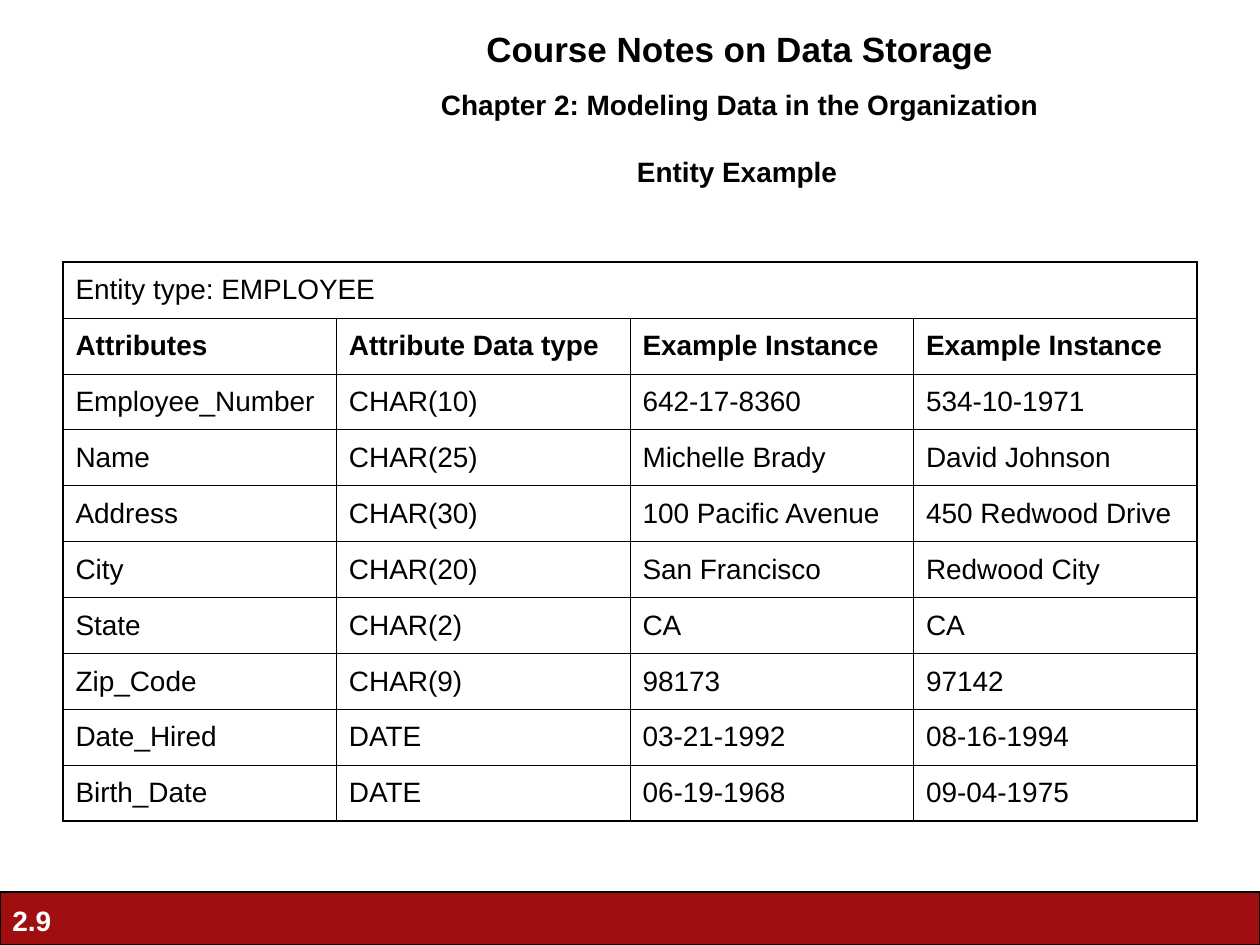
from lxml.etree import SubElement
from pptx import Presentation
from pptx.dml.color import RGBColor
from pptx.enum.shapes import MSO_SHAPE
from pptx.enum.text import MSO_ANCHOR, MSO_AUTO_SIZE, PP_ALIGN
from pptx.oxml.ns import qn
from pptx.util import Inches, Pt

BLACK, WHITE, RED = "000000", "FFFFFF", "9F0F10"
COLUMN_WIDTHS = [2.17, 2.33, 2.25, 2.25]
ROWS = [
    ["Entity type: EMPLOYEE"],
    ["Attributes", "Attribute Data type", "Example Instance", "Example Instance"],
    ["Employee_Number", "CHAR(10)", "642-17-8360", "534-10-1971"],
    ["Name", "CHAR(25)", "Michelle Brady", "David Johnson"],
    ["Address", "CHAR(30)", "100 Pacific Avenue", "450 Redwood Drive"],
    ["City", "CHAR(20)", "San Francisco", "Redwood City"],
    ["State", "CHAR(2)", "CA", "CA"],
    ["Zip_Code", "CHAR(9)", "98173", "97142"],
    ["Date_Hired", "DATE", "03-21-1992", "08-16-1994"],
    ["Birth_Date", "DATE", "06-19-1968", "09-04-1975"],
]


def color(value):
    return RGBColor.from_string(value)


class SlideBuilder:
    font_name = "Arial"
    text_size = 16
    inner_border = 0.45
    outer_border = 1.08

    def __init__(self, slide):
        self.slide = slide

    def format_paragraph(self, paragraph, size=text_size, fill=BLACK, bold=True,
                         align=PP_ALIGN.LEFT, space_before=0):
        paragraph.alignment = align
        paragraph.space_before = Pt(space_before)
        for run in paragraph.runs:
            font = run.font
            font.name, font.size, font.bold = self.font_name, Pt(size), bold
            font.color.rgb = color(fill)

    def title(self, text, left, top, width, height):
        title = self.slide.shapes.title
        title.left, title.top = Inches(left), Inches(top)
        title.width, title.height = Inches(width), Inches(height)
        frame = title.text_frame
        frame.text = text
        frame.auto_size = MSO_AUTO_SIZE.NONE
        frame.vertical_anchor = MSO_ANCHOR.MIDDLE
        self.format_paragraph(frame.paragraphs[0], align=PP_ALIGN.CENTER)

    def bar(self, left, top, width, height, fill):
        bar = self.slide.shapes.add_shape(
            MSO_SHAPE.RECTANGLE, Inches(left), Inches(top), Inches(width), Inches(height))
        bar.shadow.inherit = False
        bar.fill.solid()
        bar.fill.fore_color.rgb = color(fill)
        bar.line.color.rgb = color(BLACK)
        bar.line.width = Pt(0.75)

    def text_box(self, lines, left, top, width, height, **style):
        """Add a box of (text, size, space before) lines that share a style."""
        box = self.slide.shapes.add_textbox(
            Inches(left), Inches(top), Inches(width), Inches(height))
        frame = box.text_frame
        frame.word_wrap = True
        frame.auto_size = MSO_AUTO_SIZE.SHAPE_TO_FIT_TEXT
        frame.text = "\n".join(text for text, _, _ in lines)
        for paragraph, (_, size, space_before) in zip(frame.paragraphs, lines):
            self.format_paragraph(paragraph, size, space_before=space_before, **style)

    def cell_borders(self, cell, outer_sides):
        properties = cell._tc.get_or_add_tcPr()
        for side in "LRTB":
            width = self.outer_border if side in outer_sides else self.inner_border
            line = SubElement(properties, qn(f"a:ln{side}"), w=str(Pt(width)))
            fill = SubElement(line, qn("a:solidFill"))
            SubElement(fill, qn("a:srgbClr"), val=BLACK)

    def table(self, rows, column_widths, left, top, height):
        """Add a table whose first row spans all columns and second is the header."""
        row_count, column_count = len(rows), len(column_widths)
        table = self.slide.shapes.add_table(
            row_count, column_count, Inches(left), Inches(top),
            Inches(sum(column_widths)), Inches(height)).table
        table.first_row = table.horz_banding = False
        for column, width in zip(table.columns, column_widths):
            column.width = Inches(width)
        table.cell(0, 0).merge(table.cell(0, column_count - 1))
        for row, texts in enumerate(rows):
            for column, text in enumerate(texts):
                cell = table.cell(row, column)
                cell.text = text
                cell.vertical_anchor = MSO_ANCHOR.MIDDLE
                self.format_paragraph(cell.text_frame.paragraphs[0],
                                      bold=row == 1, space_before=4)
            for column in range(column_count):
                cell = table.cell(row, column)
                edges = {"L": column == 0, "T": row == 0,
                         "R": column + cell.span_width == column_count,
                         "B": row == row_count - 1}
                self.cell_borders(cell, [side for side in edges if edges[side]])
                cell.fill.background()


def main():
    presentation = Presentation()
    presentation.slide_width, presentation.slide_height = Inches(10), Inches(7.5)
    slide = presentation.slides.add_slide(presentation.slide_layouts[5])
    builder = SlideBuilder(slide)
    builder.bar(0, 7.08, 10, 0.42, RED)
    builder.text_box([("2.9", 16, 10)], 0, 7.12, 0.76, 0.37, fill=WHITE)
    builder.text_box([("Course Notes on Data Storage", 20, 12.5),
                      ("Chapter 2: Modeling Data in the Organization", 16, 10)],
                     3.08, 0.17, 5.58, 0.84, align=PP_ALIGN.CENTER)
    builder.title("Entity Example", 3.78, 1.17, 4.14, 0.38)
    builder.table(ROWS, COLUMN_WIDTHS, 0.5, 2.08, 4.44)
    presentation.save("out.pptx")


if __name__ == "__main__":
    main()
